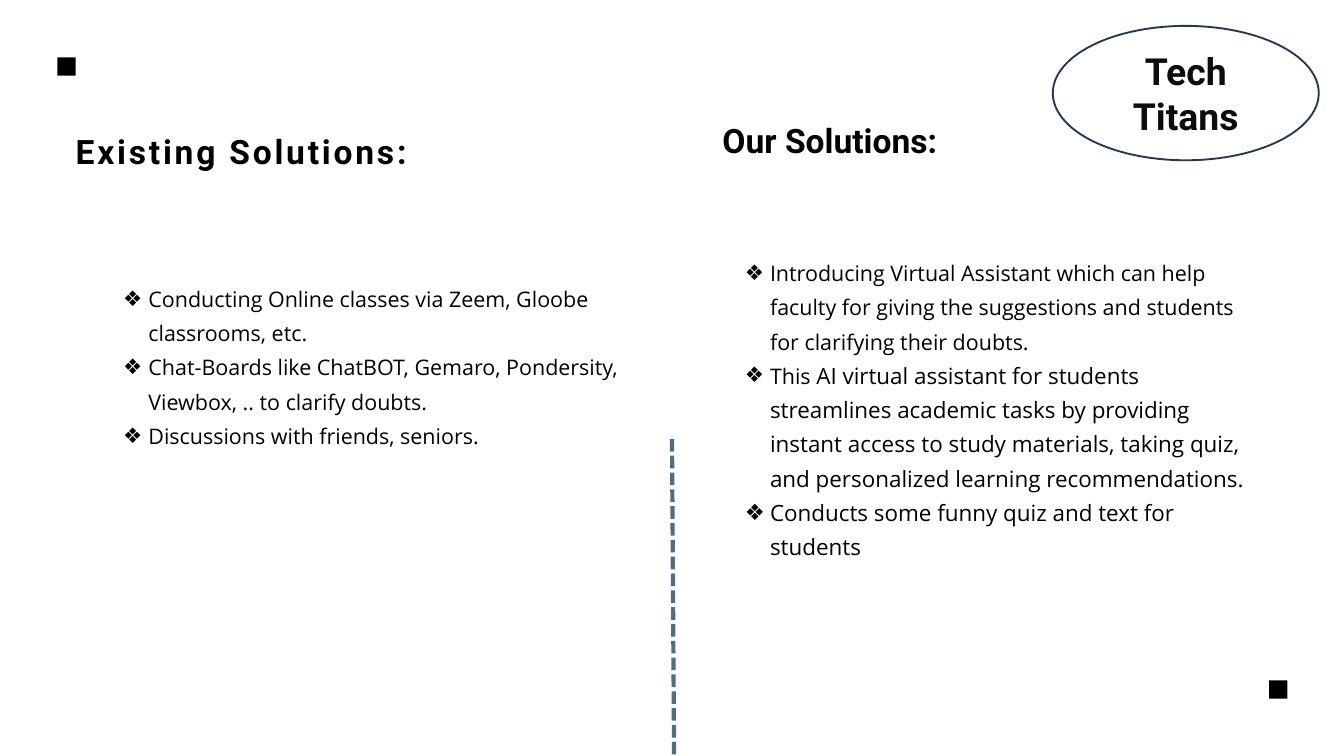
from dataclasses import dataclass

from lxml import etree
from pptx import Presentation
from pptx.dml.color import RGBColor
from pptx.enum.dml import MSO_LINE
from pptx.enum.shapes import MSO_CONNECTOR, MSO_SHAPE
from pptx.enum.text import MSO_ANCHOR, MSO_AUTO_SIZE, PP_ALIGN
from pptx.oxml.ns import qn
from pptx.util import Pt

PX = 9525  # EMU in one px, 96 px to the inch
RECT, OVAL = MSO_SHAPE.RECTANGLE, MSO_SHAPE.OVAL
STRAIGHT, DASH = MSO_CONNECTOR.STRAIGHT, MSO_LINE.SQUARE_DOT
LEFT, CENTER = PP_ALIGN.LEFT, PP_ALIGN.CENTER
TOP, MIDDLE = MSO_ANCHOR.TOP, MSO_ANCHOR.MIDDLE
NO_FIT = MSO_AUTO_SIZE.NONE

COLORS = {"ink": "000000", "badge": "0D0D0D", "ring": "233953", "rule": "4E6E81"}
HEAD, BODY = "Roboto", "Open Sans"
WIDTH, SIDE, INDENT = 729, 26, 36


@dataclass
class Run:
    text: str
    size: int = 23


@dataclass
class Column:
    title: str
    head_id: int
    list_id: int
    head_at: tuple[int, int]
    list_at: tuple[int, int]
    height: int
    items: list[list[Run]]
    space: int = 0


COLUMNS = [
    Column("Existing Solutions:", 0, 2, (108, 132), (176, 396), 294, [
        [Run("Conducting Online classes via Zeem, Gloobe classrooms, etc.")],
        [Run("Chat-Boards like ChatBOT, Gemaro, Pondersity, "
             "Viewbox, .. to clarify doubts.")],
        [Run("Discussions with friends, seniors.")],
    ], space=300),
    Column("Our Solutions:", 3, 4, (1032, 117), (1064, 359), 492, [
        [Run("Introducing Virtual Assistant which can help faculty for giving "
             "the suggestions and students for clarifying their doubts.")],
        [Run("This "),
         Run("AI virtual assistant for students streamlines academic tasks by "
             "providing instant access to study materials, taking quiz, and "
             "personalized learning recommendations.", 24)],
        [Run("Conducts some funny quiz and text for students", 24)],
    ]),
]


def color(name: str) -> RGBColor:
    return RGBColor.from_string(COLORS[name])


def style(run, face: str, size: int, name: str, bold: bool = False) -> None:
    font = run.font
    font.name, font.size, font.bold = face, Pt(size), bold
    font.color.rgb = color(name)


def place(shape, at: tuple[int, int], height: int):
    shape.left, shape.top = at[0] * PX, at[1] * PX
    shape.width, shape.height = WIDTH * PX, height * PX
    frame = shape.text_frame
    frame.margin_left = frame.margin_right = 0
    frame.margin_top = frame.margin_bottom = 0
    frame.word_wrap, frame.auto_size = True, NO_FIT
    frame.vertical_anchor = TOP
    return frame


def lead(para, points: float) -> None:
    para.alignment, para.line_spacing = LEFT, Pt(points)
    para.space_before = para.space_after = Pt(0)


def bullet(para) -> None:
    props = para._p.get_or_add_pPr()
    props.set("marL", str(INDENT * PX))
    props.set("indent", str(-INDENT * PX))
    etree.SubElement(props, qn("a:buChar")).set("char", "❖")


def draw_column(slide, col: Column) -> None:
    holders = {p.placeholder_format.idx: p for p in slide.placeholders}
    # Heading
    frame = place(holders[col.head_id], col.head_at, 97)
    frame.text = col.title
    para = frame.paragraphs[0]
    lead(para, 84)
    run = para.runs[0]
    style(run, HEAD, 36, "ink", True)
    if col.space:
        run._r.get_or_add_rPr().set("spc", str(col.space))
    # Bulleted list
    frame = place(holders[col.list_id], col.list_at, col.height)
    for i, item in enumerate(col.items):
        para = frame.add_paragraph() if i else frame.paragraphs[0]
        lead(para, 36.8)
        bullet(para)
        for part in item:
            run = para.add_run()
            run.text = part.text
            style(run, BODY, part.size, "ink")


def draw_square(slide, x: int, y: int) -> None:
    box = slide.shapes.add_shape(RECT, x * PX, y * PX, SIDE * PX, SIDE * PX)
    box.shadow.inherit = False
    box.fill.solid()
    box.fill.fore_color.rgb = color("ink")
    box.line.fill.background()


def draw_rule(slide) -> None:
    rule = slide.shapes.add_connector(
        STRAIGHT, 960 * PX, 627 * PX, 963 * PX, 1080 * PX)
    rule.line.color.rgb = color("rule")
    rule.line.width, rule.line.dash_style = Pt(4.5), DASH
    etree.SubElement(rule._element.spPr, qn("a:effectLst"))


def draw_badge(slide) -> None:
    oval = slide.shapes.add_shape(OVAL, 1504 * PX, 37 * PX, 380 * PX, 192 * PX)
    oval.shadow.inherit = False
    oval.fill.background()
    oval.line.color.rgb, oval.line.width = color("ring"), Pt(2)
    frame = oval.text_frame
    frame.word_wrap, frame.vertical_anchor = True, MIDDLE
    frame.text = "Tech Titans"
    para = frame.paragraphs[0]
    para.alignment = CENTER
    style(para.runs[0], HEAD, 40, "badge", True)


def main() -> None:
    deck = Presentation()
    deck.slide_width, deck.slide_height = 1920 * PX, 1080 * PX
    slide = deck.slides.add_slide(deck.slide_layouts[4])  # Comparison

    # Two columns of text
    for col in COLUMNS:
        draw_column(slide, col)
    for holder in list(slide.placeholders):
        if not holder.text_frame.text:
            holder._element.getparent().remove(holder._element)

    # Divider, corner marks and team badge
    draw_rule(slide)
    for x, y in ((1813, 972), (82, 82)):
        draw_square(slide, x, y)
    draw_badge(slide)

    deck.save("out.pptx")


if __name__ == "__main__":
    main()
